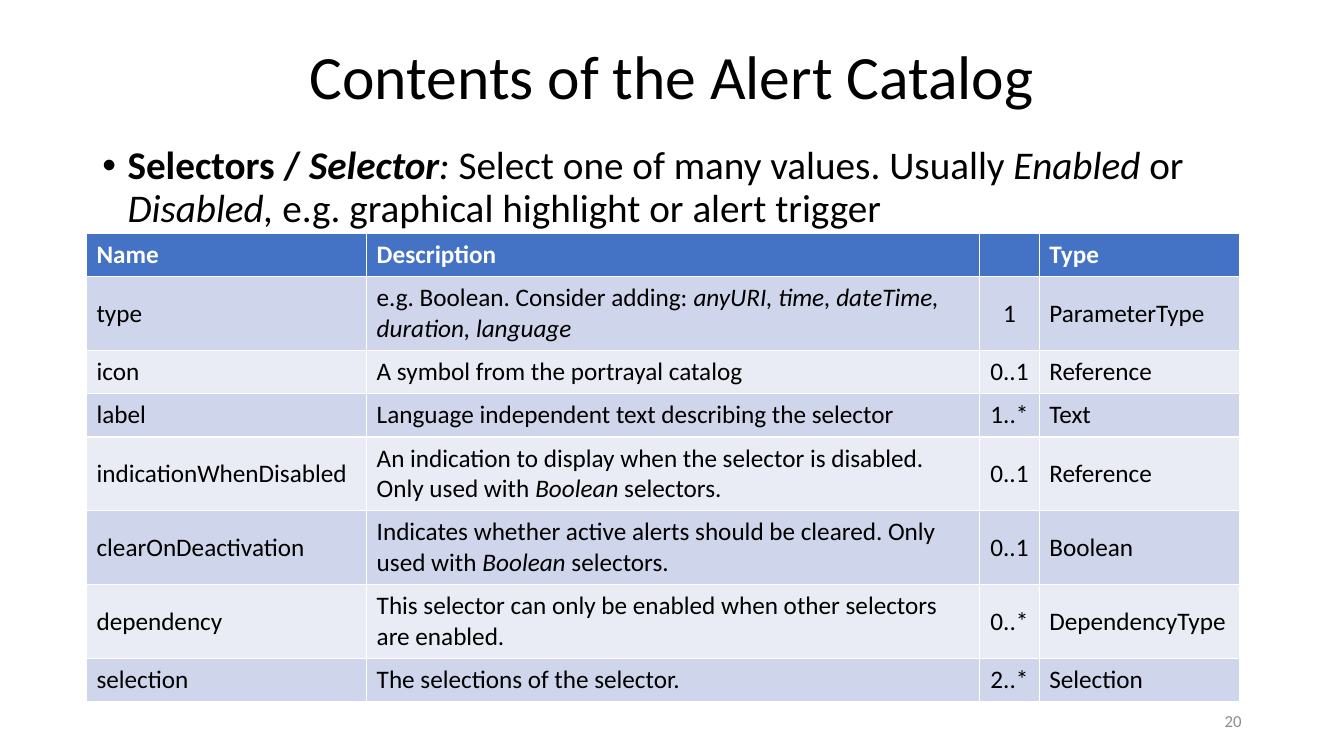
"""Build the slide that lists the selector attributes of the alert catalog."""
from lxml import etree
from pptx import Presentation
from pptx import util as u
from pptx.dml.color import RGBColor
from pptx.enum import text as t
from pptx.oxml import ns

FONT = "Calibri"
BLACK, WHITE, GREY = "000000", "FFFFFF", "8C8C8C"
HEADER_FILL, BAND_FILLS = "4472C4", ("CFD5EA", "E9EBF5")
COLUMN_WIDTHS = (7.06, 15.45, 1.5, 5.05)
ONE_LINE, TWO_LINES = 1.09, 1.86

BOOLEAN_ONLY = [("Boolean", "i"), (" selectors.", "")]
SUMMARY = [
    ("Selectors / ", "b"),
    ("Selector", "bi"),
    (": ", "i"),
    ("Select one of many values. Usually ", ""),
    ("Enabled", "i"),
    (" or ", ""),
    ("Disabled,", "i"),
    (" e.g. graphical highlight or alert trigger", ""),
]
HEADER = ("Name", [("Description", "")], "", "Type")
ATTRIBUTES = [
    ("type", [("e.g. Boolean. Consider adding: ", ""),
              ("anyURI, time, dateTime, duration, language", "i")], "1", "ParameterType"),
    ("icon", [("A symbol from the portrayal catalog", "")], "0..1", "Reference"),
    ("label", [("Language independent text describing the selector", "")], "1..*", "Text"),
    ("indicationWhenDisabled",
     [("An indication to display when the selector is disabled. Only used with ", "")]
     + BOOLEAN_ONLY, "0..1", "Reference"),
    ("clearOnDeactivation",
     [("Indicates whether active alerts should be cleared. Only used with ", "")]
     + BOOLEAN_ONLY, "0..1", "Boolean"),
    ("dependency", [("This selector can only be enabled when other selectors are enabled.", "")],
     "0..*", "DependencyType"),
    ("selection", [("The selections of the selector.", "")], "2..*", "Selection"),
]
ROW_HEIGHTS = (ONE_LINE, TWO_LINES, ONE_LINE, ONE_LINE,
               TWO_LINES, TWO_LINES, TWO_LINES, ONE_LINE)


def rgb(hex_color):
    """Turn a hex string into a colour."""
    return RGBColor.from_string(hex_color)


def write(paragraph, pieces, size, color, align=t.PP_ALIGN.LEFT):
    """Write (text, style) pieces, where style holds b for bold and i for italic."""
    paragraph.alignment = align
    paragraph.font.name = FONT
    paragraph.font.size = u.Pt(size)
    paragraph.font.color.rgb = rgb(color)
    for words, style in pieces:
        run = paragraph.add_run()
        run.text = words
        if "b" in style:
            run.font.bold = True
        if "i" in style:
            run.font.italic = True


def add_frame(slide, box, anchor):
    """Add a wrapping text frame in the box and return its first paragraph."""
    frame = slide.shapes.add_textbox(*map(u.Cm, box)).text_frame
    frame.word_wrap = True
    frame.vertical_anchor = anchor
    return frame.paragraphs[0]


def add_title(slide, box):
    """Add the centred slide title."""
    title = add_frame(slide, box, t.MSO_ANCHOR.MIDDLE)
    title.line_spacing = 0.9
    write(title, [("Contents of the Alert Catalog", "")], 44, BLACK, t.PP_ALIGN.CENTER)


def add_summary(slide, box):
    """Add the bulleted sentence that explains selectors."""
    summary = add_frame(slide, box, t.MSO_ANCHOR.TOP)
    summary.line_spacing = 0.9
    properties = summary._p.get_or_add_pPr()
    indent = u.Cm(0.635)
    properties.set("marL", str(indent))
    properties.set("indent", str(-indent))
    etree.SubElement(properties, ns.qn("a:buFont"), typeface="Arial")
    etree.SubElement(properties, ns.qn("a:buChar"), char="•")
    write(summary, SUMMARY, 28, BLACK)


def fill_row(row, entry, fill, color):
    """Fill one table row with a name, description, multiplicity and type."""
    name, description, multiplicity, kind = entry
    contents = ([(name, "")], description, [(multiplicity, "")], [(kind, "")])
    for column, (cell, pieces) in enumerate(zip(row.cells, contents)):
        cell.fill.solid()
        cell.fill.fore_color.rgb = rgb(fill)
        cell.vertical_anchor = t.MSO_ANCHOR.MIDDLE
        align = t.PP_ALIGN.CENTER if column == 2 else t.PP_ALIGN.LEFT
        if color == WHITE:
            pieces = [(words, "b") for words, _ in pieces]
        write(cell.text_frame.paragraphs[0], pieces, 18, color, align)


def add_attributes(slide, left, top):
    """Add the attribute table with its top left corner at the given point."""
    table = slide.shapes.add_table(
        len(ROW_HEIGHTS), len(COLUMN_WIDTHS), u.Cm(left), u.Cm(top),
        u.Cm(sum(COLUMN_WIDTHS)), u.Cm(sum(ROW_HEIGHTS))).table
    for column, width in zip(table.columns, COLUMN_WIDTHS):
        column.width = u.Cm(width)
    for row, height in zip(table.rows, ROW_HEIGHTS):
        row.height = u.Cm(height)
    fill_row(table.rows[0], HEADER, HEADER_FILL, WHITE)
    for index, attribute in enumerate(ATTRIBUTES):
        fill_row(table.rows[index + 1], attribute, BAND_FILLS[index % 2], BLACK)


def add_page_number(slide, box):
    """Add the page number at the right of the box."""
    number = add_frame(slide, box, t.MSO_ANCHOR.MIDDLE)
    write(number, [("20", "")], 12, GREY, t.PP_ALIGN.RIGHT)


def main():
    """Build and save the presentation."""
    deck = Presentation()
    deck.slide_width, deck.slide_height = u.Cm(33.87), u.Cm(19.05)
    slide = deck.slides.add_slide(deck.slide_layouts[6])
    add_summary(slide, (2.33, 3.55, 29.21, 13.76))
    add_page_number(slide, (23.92, 17.66, 7.62, 1.01))
    add_title(slide, (2.33, 1.01, 29.21, 2.01))
    add_attributes(slide, 2.18, 5.88)
    deck.save("out.pptx")


if __name__ == "__main__":
    main()
